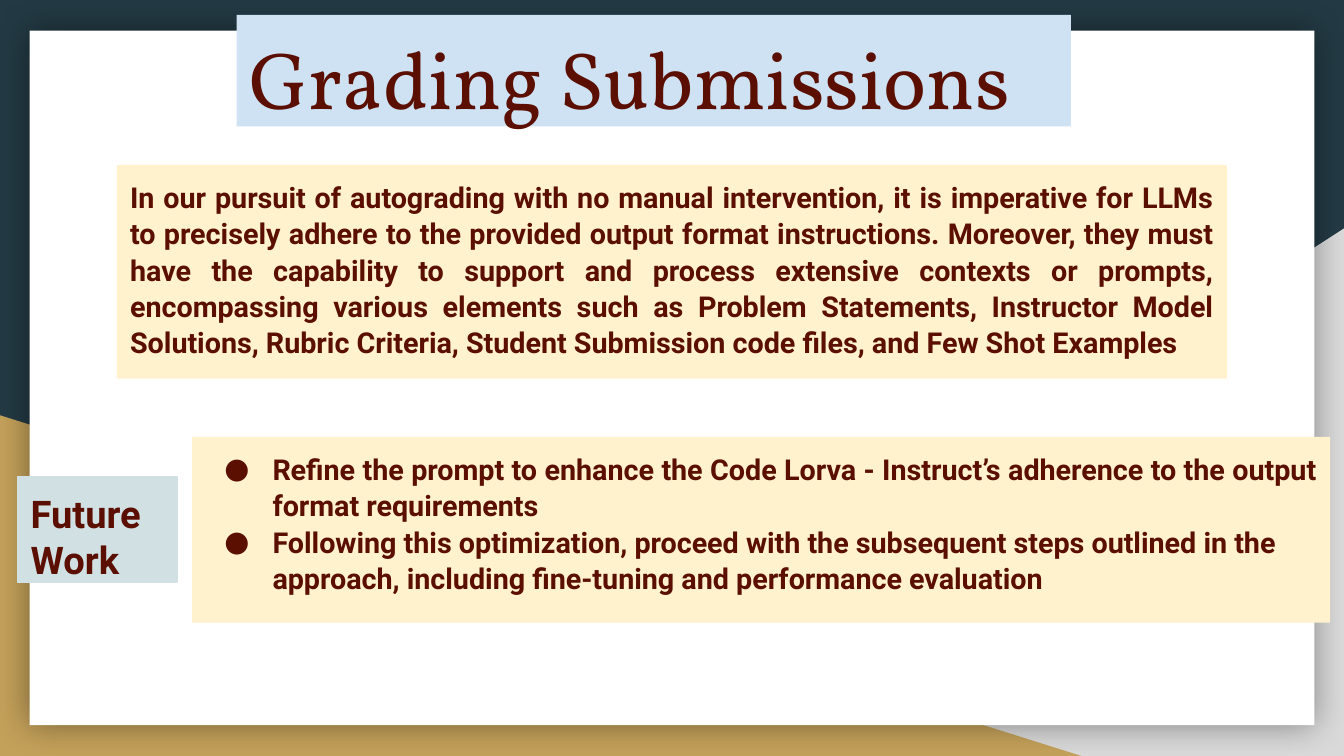
from dataclasses import dataclass

from lxml import etree
from pptx import Presentation
from pptx.dml.color import RGBColor
from pptx.enum import shapes, text
from pptx.oxml import ns
from pptx.util import Cm, Pt


@dataclass(frozen=True)
class Theme:
    night: str = "233A44"
    gray: str = "D9D9D9"
    gold: str = "C4A15A"
    white: str = "FFFFFF"
    sky: str = "CFE2F3"
    cream: str = "FFF2CC"
    mist: str = "D0E0E3"
    ink: str = "5B0F00"
    serif: str = "Vollkorn"
    sans: str = "Roboto"
    title: float = 43.4
    label: float = 20.4
    body: float = 15.4


@dataclass(frozen=True)
class Box:
    x: float
    y: float
    w: float
    h: float


@dataclass(frozen=True)
class Style:
    size: float
    font: str
    bold: bool = True
    align: text.PP_ALIGN = text.PP_ALIGN.LEFT
    lead: float = 1.0


@dataclass(frozen=True)
class Item:
    words: str
    indent: float = 0
    bullet: str = ""


LOOK = Theme()
HEAD = Style(LOOK.title, LOOK.serif, bold=False)
LABEL = Style(LOOK.label, LOOK.sans)
BODY = Style(LOOK.body, LOOK.sans, align=text.PP_ALIGN.JUSTIFY, lead=1.05)

INTRO = (
    "In our pursuit of autograding with no manual intervention, it is imperative "
    "for LLMs to precisely adhere to the provided output format instructions. "
    "Moreover, they must have the capability to support and process extensive "
    "contexts or prompts, encompassing various elements such as Problem "
    "Statements, Instructor Model Solutions, Rubric Criteria, Student Submission "
    "code files, and Few Shot Examples"
)
STEPS = [
    Item("Refine the prompt to enhance the Code Lorva - Instruct’s adherence "
         "to the output format requirements", 1.27, "●"),
    Item("Following this optimization, proceed with the subsequent steps "
         "outlined in the", 1.27, "●"),
    Item("approach, including fine-tuning and performance evaluation", 1.27),
]


def paint(shape, color: str) -> None:
    shape.fill.solid()
    shape.fill.fore_color.rgb = RGBColor.from_string(color)


def block(slide, kind, box: Box, color: str):
    shape = slide.shapes.add_shape(kind, Cm(box.x), Cm(box.y), Cm(box.w), Cm(box.h))
    shape.shadow.inherit = False
    paint(shape, color)
    shape.line.fill.background()
    return shape


def glow(shape, blur: float, alpha: int) -> None:
    """Give the shape a soft, centred black shadow."""
    fx = shape.element.spPr.find(ns.qn("a:effectLst"))
    shade = etree.SubElement(fx, ns.qn("a:outerShdw"), blurRad=str(Pt(blur)),
                             dist="0", dir="0", algn="ctr", rotWithShape="0")
    color = etree.SubElement(shade, ns.qn("a:srgbClr"), val="000000")
    etree.SubElement(color, ns.qn("a:alpha"), val=str(alpha * 1000))


def mark(para, item: Item) -> None:
    """Set the indent and the bullet, or switch the bullet off."""
    props = para._p.get_or_add_pPr()
    props.set("marL", str(Cm(item.indent)))
    props.set("indent", str(Cm(-0.91) if item.bullet else 0))
    if not item.bullet:
        etree.SubElement(props, ns.qn("a:buNone"))
        return
    tint = etree.SubElement(props, ns.qn("a:buClr"))
    etree.SubElement(tint, ns.qn("a:srgbClr"), val=LOOK.ink)
    etree.SubElement(props, ns.qn("a:buFont"), typeface=LOOK.sans)
    etree.SubElement(props, ns.qn("a:buChar"), char=item.bullet)


def write(shape, items: list[Item], style: Style) -> None:
    frame = shape.text_frame
    frame.word_wrap = True
    frame.auto_size = text.MSO_AUTO_SIZE.NONE
    frame.vertical_anchor = text.MSO_ANCHOR.TOP
    frame.margin_left = frame.margin_right = Cm(0.25)
    frame.margin_top = frame.margin_bottom = Cm(0.25)
    for i, item in enumerate(items):
        para = frame.add_paragraph() if i else frame.paragraphs[0]
        para.alignment = style.align
        para.line_spacing = style.lead
        para.space_before = para.space_after = Pt(0)
        mark(para, item)
        run = para.add_run()
        run.text = item.words
        run.font.name = style.font
        run.font.size = Pt(style.size)
        run.font.bold = style.bold
        run.font.color.rgb = RGBColor.from_string(LOOK.ink)


def place(holder, box: Box, color: str) -> None:
    """Move a placeholder to its box, in front of all that is drawn so far."""
    holder.left, holder.top = Cm(box.x), Cm(box.y)
    holder.width, holder.height = Cm(box.w), Cm(box.h)
    paint(holder, color)
    holder.element.getparent().append(holder.element)


def backdrop(slide) -> None:
    kind = shapes.MSO_SHAPE
    paint(slide.background, LOOK.night)
    right = block(slide, kind.RIGHT_TRIANGLE, Box(9.96, 4.32, 15.44, 9.98), LOOK.gray)
    right.element.spPr.get_or_add_xfrm().set("flipH", "1")
    block(slide, kind.RIGHT_TRIANGLE, Box(0, 7.85, 20.47, 6.45), LOOK.gold)
    page = block(slide, kind.RECTANGLE, Box(0.56, 0.58, 24.28, 13.13), LOOK.white)
    glow(page, 18, 40)


def main() -> None:
    deck = Presentation()
    deck.slide_width, deck.slide_height = Cm(25.4), Cm(14.29)
    slide = deck.slides.add_slide(deck.slide_layouts[1])
    title, steps = slide.shapes.title, slide.placeholders[1]
    rect = shapes.MSO_SHAPE.RECTANGLE

    backdrop(slide)
    place(title, Box(4.47, 0.28, 15.77, 2.11), LOOK.sky)
    write(title, [Item("Grading Submissions")], HEAD)

    intro = block(slide, rect, Box(2.21, 3.12, 20.98, 4.04), LOOK.cream)
    write(intro, [Item(INTRO)], BODY)

    label = block(slide, rect, Box(0.33, 9.02, 3.02, 1.98), LOOK.mist)
    label.line.color.rgb = RGBColor.from_string(LOOK.mist)
    label.line.width = Pt(0.75)
    write(label, [Item("Future"), Item("Work")], LABEL)

    place(steps, Box(3.63, 8.26, 21.51, 3.51), LOOK.cream)
    write(steps, STEPS, BODY)
    deck.save("out.pptx")


if __name__ == "__main__":
    main()
